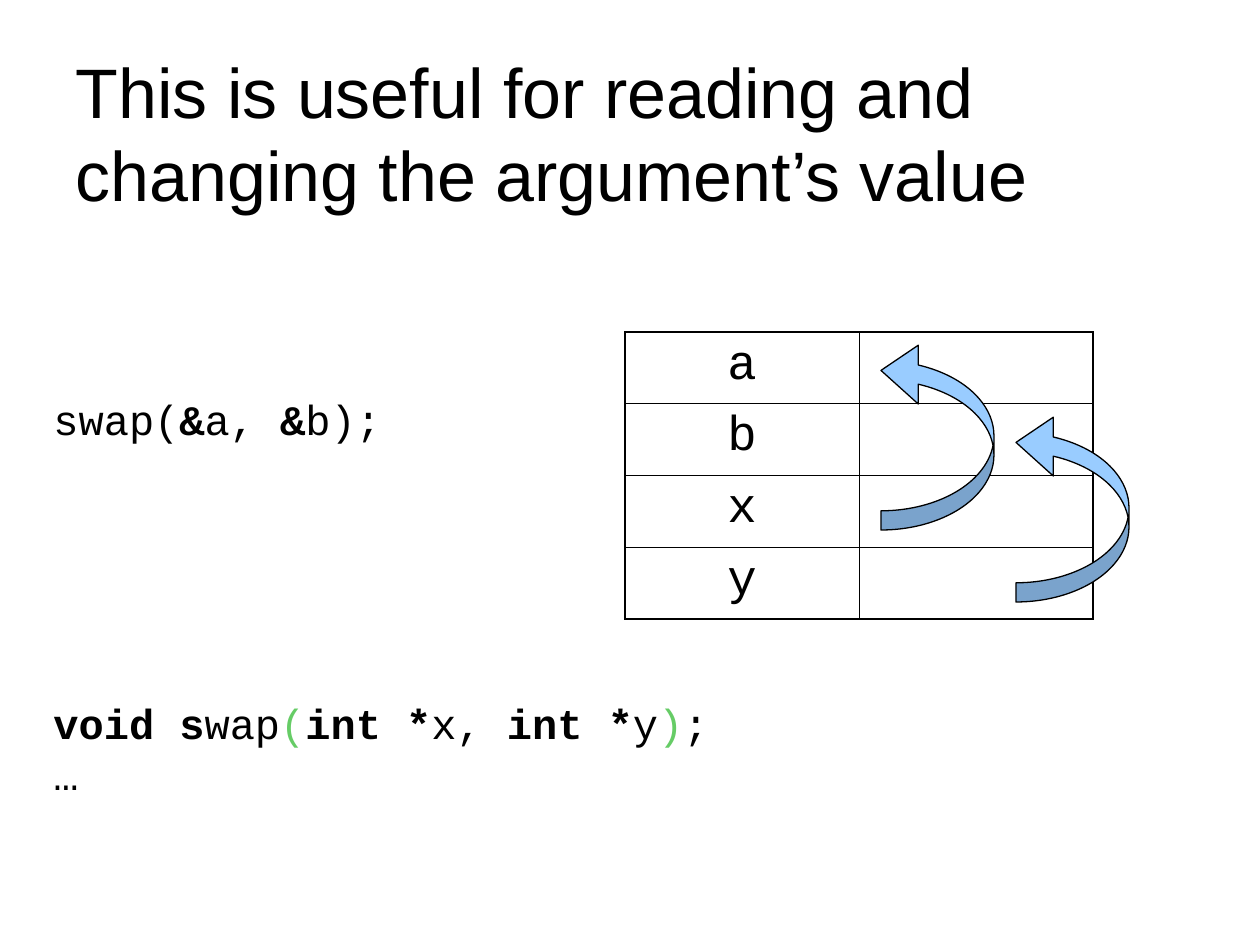
from lxml import etree
from pptx import Presentation
from pptx import util as u
from pptx.dml.color import RGBColor
from pptx.enum import shapes, text
from pptx.oxml.ns import qn

SCALE = 914400 // 126
HUES = {"ink": "000000", "paren": "66CC66", "arrow": "99CCFF"}
SANS, MONO = "Arial", "Courier New"
CODE = [
    [("swap(", ""), ("&", "b"), ("a, ", ""), ("&", "b"), ("b);", "")],
    [("void s", "b"), ("wap", ""), ("(", "paren"), ("int *", "b"),
     ("x, ", ""), ("int *", "b"), ("y", ""), (")", "paren"), (";", "")],
    [("…", "")],
]


def px(n):
    return u.Emu(round(n * SCALE))


def hue(name):
    return RGBColor.from_string(HUES[name])


def put(para, words, face, size, bold=False, ink="ink"):
    """Add one formatted run to a paragraph."""
    run = para.add_run()
    run.text = words
    for key, val in {"name": face, "size": u.Pt(size), "bold": bold}.items():
        setattr(run.font, key, val)
    run.font.color.rgb = hue(ink)


def setup(frame, top):
    """Format a text frame that starts at its top edge."""
    vals = {"word_wrap": True, "auto_size": text.MSO_AUTO_SIZE.NONE,
            "vertical_anchor": text.MSO_ANCHOR.TOP, "margin_top": px(top)}
    for key, val in vals.items():
        setattr(frame, key, val)


def head(slide, x, y, w, h):
    title = slide.shapes.title
    for key, val in zip(("left", "top", "width", "height"), (x, y, w, h)):
        setattr(title, key, px(val))
    setup(title.text_frame, 10)
    para = title.text_frame.paragraphs[0]
    para.alignment = text.PP_ALIGN.LEFT
    para.line_spacing = u.Pt(48)
    put(para, "This is useful for reading and changing the argument’s value",
        SANS, 40)


def code(slide, x, y, w, h):
    frame = slide.shapes.add_textbox(px(x), px(y), px(w), px(h)).text_frame
    setup(frame, 11)
    pitch = 29
    for i, line in enumerate(CODE):
        para = frame.add_paragraph() if i else frame.paragraphs[0]
        para.line_spacing = u.Pt(pitch)
        para.space_before = u.Pt(5 * pitch if i == 1 else 0)
        for words, mark in line:
            put(para, words, MONO, 24, mark == "b",
                mark if mark in HUES else "ink")


def edge(cell, side, width):
    """Draw one border of a cell."""
    props = cell._tc.get_or_add_tcPr()
    line = etree.SubElement(props, qn("a:ln" + side), w=str(u.Pt(width)))
    fill = etree.SubElement(line, qn("a:solidFill"))
    etree.SubElement(fill, qn("a:srgbClr"), val=HUES["ink"])


def memory(slide, x, y, w, h, names):
    rows, cols = len(names), 2
    grid = slide.shapes.add_table(rows, cols, px(x), px(y), px(w), px(h)).table
    grid.first_row = grid.horz_banding = False
    for r, name in enumerate(names):
        grid.rows[r].height = px(h / rows)
        for c in range(cols):
            cell = grid.cell(r, c)
            outer = {"L": c == 0, "R": c == cols - 1,
                     "T": r == 0, "B": r == rows - 1}
            for side, out in outer.items():
                edge(cell, side, 1.08 if out else 0.45)
            cell.fill.background()
        para = grid.cell(r, 0).text_frame.paragraphs[0]
        para.alignment = text.PP_ALIGN.CENTER
        para.space_before = u.Pt(7)
        put(para, name, MONO, 28)


def arrow(slide, x, y, w, h):
    """Curved arrow from the lower left back to the upper left."""
    kind = shapes.MSO_SHAPE.CURVED_RIGHT_ARROW
    bend = slide.shapes.add_shape(kind, px(x), px(y), px(w), px(h))
    bend.rotation = 180
    for i, val in enumerate((0.17, 0.52, 0.33)):
        bend.adjustments[i] = val
    bend.shadow.inherit = False
    bend.fill.solid()
    bend.fill.fore_color.rgb = hue("arrow")
    bend.line.color.rgb = hue("ink")
    bend.line.width = u.Pt(0.75)


def main():
    deck = Presentation()
    deck.slide_width, deck.slide_height = px(1260), px(945)
    slide = deck.slides.add_slide(deck.slide_layouts[5])
    head(slide, 63, 38, 1134, 175)
    code(slide, 41, 382, 1178, 416)
    memory(slide, 625, 332, 468, 287, "abxy")
    for x, y in ((881, 341), (1016, 413)):
        arrow(slide, x, y, 113, 189)
    deck.save("out.pptx")


if __name__ == "__main__":
    main()
